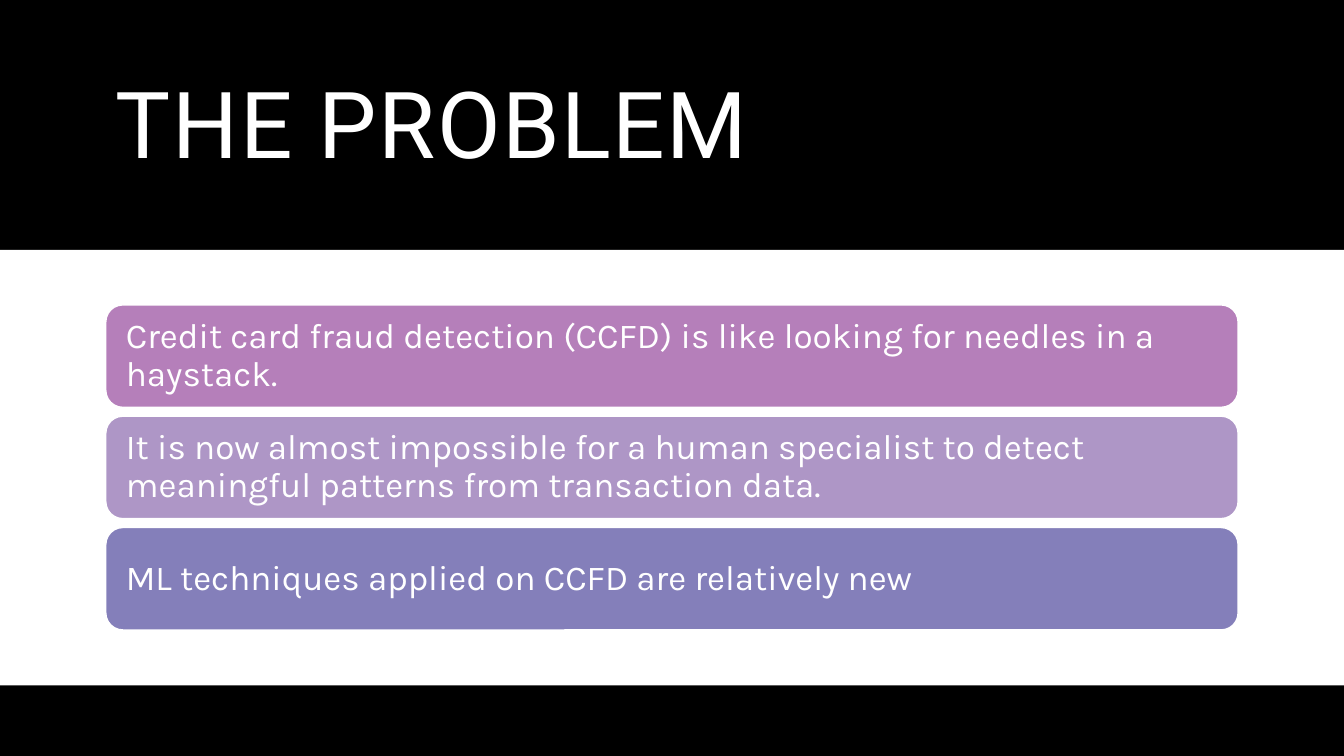
from pptx import Presentation, util as u
from pptx.dml.color import RGBColor
from pptx.enum import shapes, text

BLACK = RGBColor(0x00, 0x00, 0x00)
WHITE = RGBColor(0xFF, 0xFF, 0xFF)
ORCHID = RGBColor(0xB5, 0x7F, 0xBA)
LILAC = RGBColor(0xAE, 0x96, 0xC6)
INDIGO = RGBColor(0x84, 0x7F, 0xBA)

COLS, ROWS = 160, 90
MARGIN = 12.6
CONTENT = COLS - 2 * MARGIN
CARD_TOP, CARD_HEIGHT, CARD_PITCH = 36.3, 12.2, 13.25

CARDS = [
    ("Credit card fraud detection (CCFD) is like looking for needles in a haystack.", ORCHID),
    ("It is now almost impossible for a human specialist to detect "
     "meaningful patterns from transaction data.", LILAC),
    ("ML techniques applied on CCFD are relatively new", INDIGO),
]


def write(tf, content, *, font, size, color=WHITE, inset=0.1, tracking=None):
    tf.word_wrap = True
    tf.auto_size = text.MSO_AUTO_SIZE.NONE
    tf.vertical_anchor = text.MSO_ANCHOR.MIDDLE
    tf.margin_left = tf.margin_right = u.Inches(inset)
    tf.margin_top = tf.margin_bottom = u.Inches(inset)
    p = tf.paragraphs[0]
    p.alignment = text.PP_ALIGN.LEFT
    p.line_spacing = 0.9
    r = p.add_run()
    r.text = content
    r.font.name = font
    r.font.size = u.Pt(size)
    r.font.color.rgb = color
    if tracking:
        r.font._element.set("spc", str(round(tracking * 100)))


class Deck:
    heading_font = "Roboto"
    body_font = "Karla"

    def __init__(self):
        self.prs = Presentation()
        self.prs.slide_width = u.Inches(13.33)
        self.prs.slide_height = u.Inches(7.5)
        self.s = self.prs.slides.add_slide(self.prs.slide_layouts[5])

    def grid(self, col, row, cols, rows):
        dx = self.prs.slide_width / COLS
        dy = self.prs.slide_height / ROWS
        return [round(v) for v in (col * dx, row * dy, cols * dx, rows * dy)]

    def background(self, color):
        fill = self.s.background.fill
        fill.solid()
        fill.fore_color.rgb = color

    def title(self, content, *cell):
        sp = self.s.shapes.title
        sp.left, sp.top, sp.width, sp.height = self.grid(*cell)
        write(sp.text_frame, content, font=self.heading_font, size=66, tracking=1.2)

    def panel(self, kind, color, *cell, line=None):
        sp = self.s.shapes.add_shape(kind, *self.grid(*cell))
        sp.shadow.inherit = False
        sp.fill.solid()
        sp.fill.fore_color.rgb = color
        if line is None:
            sp.line.fill.background()
        else:
            sp.line.color.rgb = line
            sp.line.width = u.Pt(1)
        return sp

    def band(self, color, *cell):
        self.panel(shapes.MSO_SHAPE.RECTANGLE, color, *cell)

    def card(self, content, color, *cell):
        sp = self.panel(shapes.MSO_SHAPE.ROUNDED_RECTANGLE, color, *cell, line=WHITE)
        write(sp.text_frame, content, font=self.body_font, size=25, inset=0.15)


def main():
    deck = Deck()
    deck.background(BLACK)
    deck.title("THE PROBLEM", MARGIN, 4.2, CONTENT, 22.3)
    deck.band(WHITE, 0, 29.75, COLS, 51.85)
    for i, (content, color) in enumerate(CARDS):
        deck.card(content, color, MARGIN, CARD_TOP + i * CARD_PITCH, CONTENT, CARD_HEIGHT)
    deck.prs.save("out.pptx")


if __name__ == "__main__":
    main()
